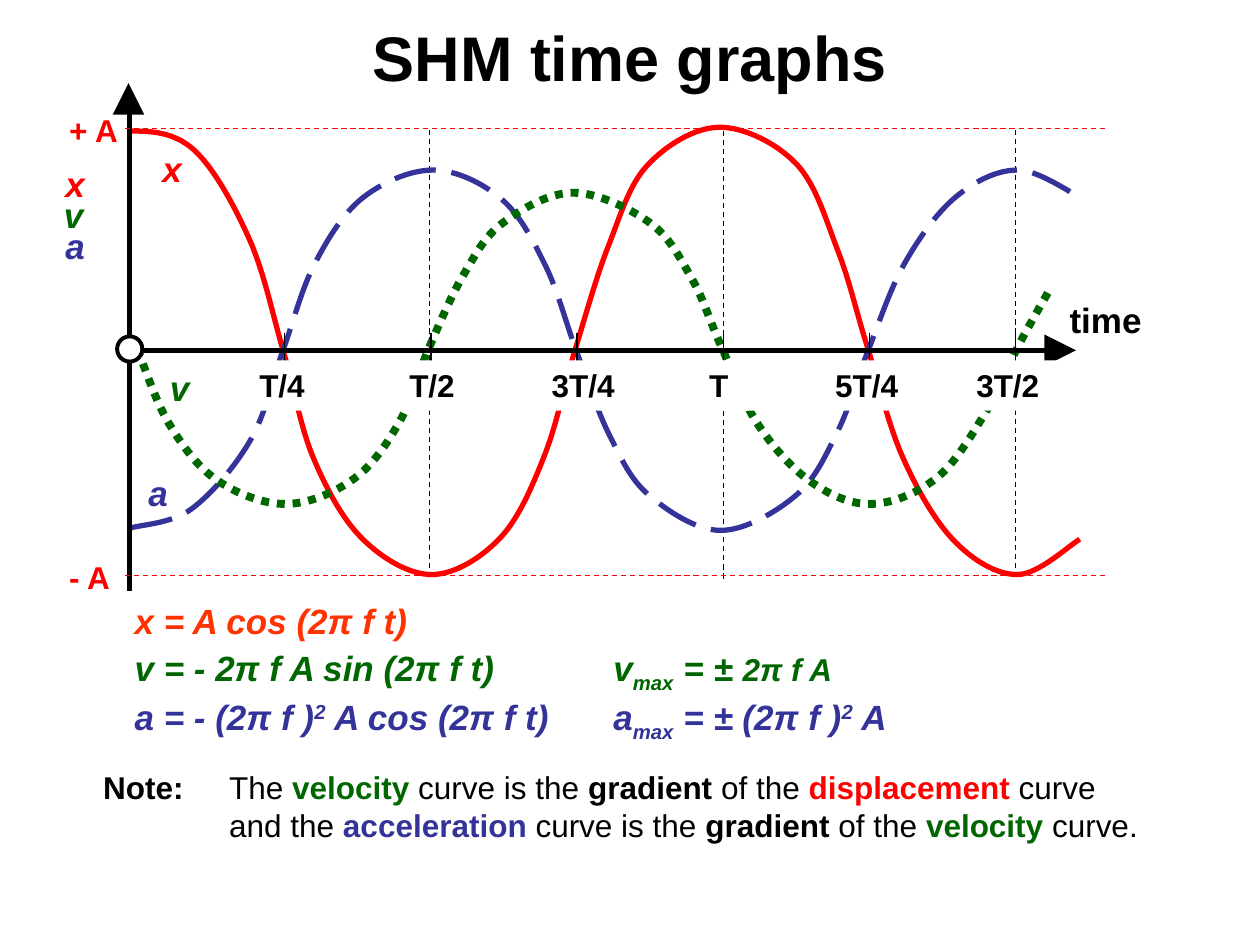
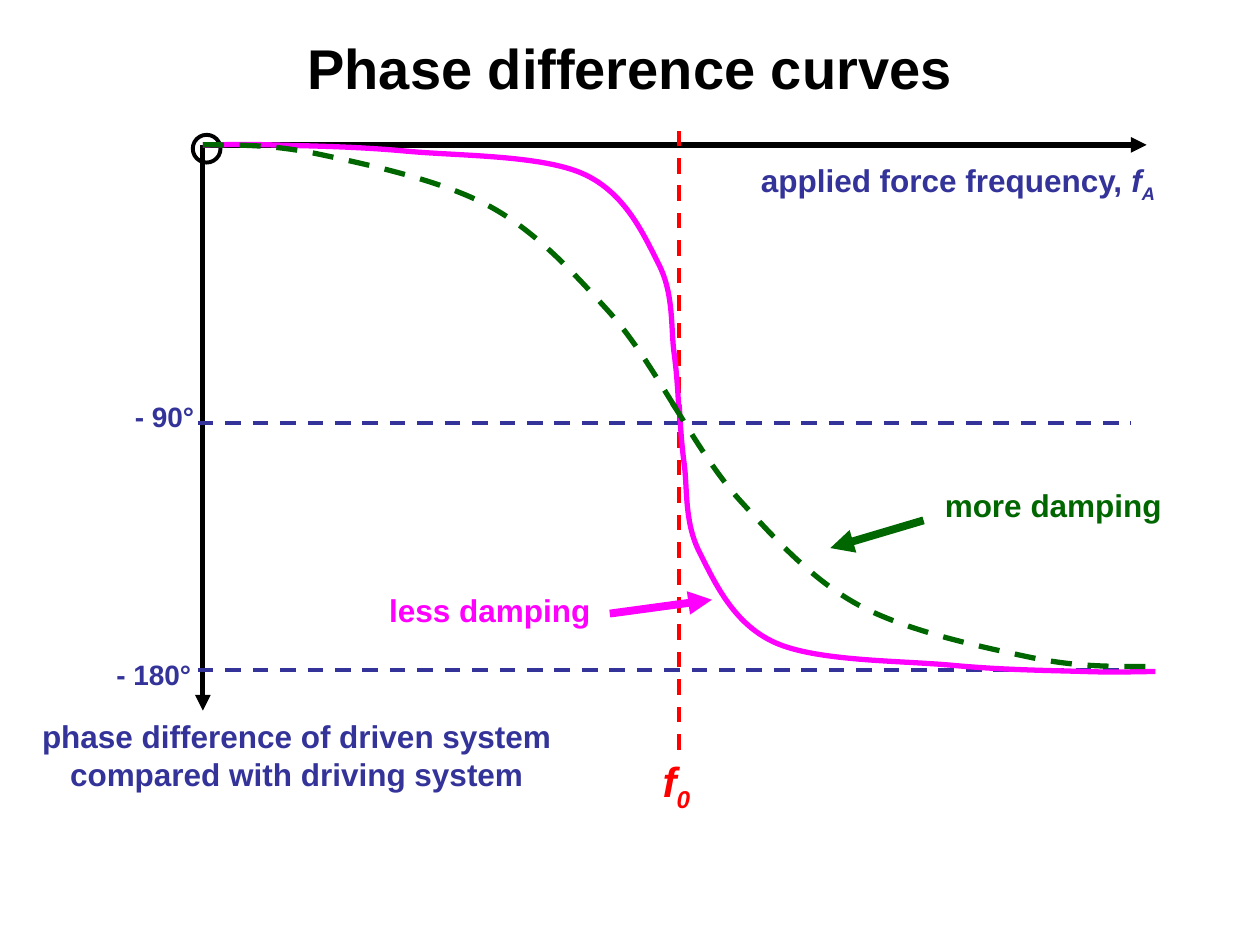
from lxml import etree
from pptx import Presentation
from pptx import util as u
from pptx.dml.color import RGBColor
from pptx.enum import dml, shapes, text
from pptx.oxml.ns import qn

BLACK, WHITE, RED, ORANGE = "000000", "FFFFFF", "FF0000", "FF3300"
BLUE, GREEN, PINK = "333399", "006600", "FF00FF"
FONT = "Arial"
DASH, LONG_DASH, DOT = dml.MSO_LINE.DASH, dml.MSO_LINE.LONG_DASH, dml.MSO_LINE.ROUND_DOT
CENTER = text.PP_ALIGN.CENTER


def write(s, box, *paras, size=18, color=BLACK, bold=True, italic=False,
          align=None, tabs=(), fill=None, sp=None):
    """Each paragraph is a string or a list of runs; a run is a string or (string, changes)."""
    left, top, width, height = map(u.Inches, box)
    fit = text.MSO_AUTO_SIZE.NONE if sp else text.MSO_AUTO_SIZE.SHAPE_TO_FIT_TEXT
    if sp is None:
        sp = s.shapes.add_textbox(left, top, width, height)
    else:
        sp.left, sp.top, sp.width, sp.height = left, top, width, height
    if fill:
        sp.fill.solid()
        sp.fill.fore_color.rgb = RGBColor.from_string(fill)
    tf = sp.text_frame
    tf.word_wrap = True
    tf.auto_size = fit
    for i, para in enumerate(paras):
        p = tf.add_paragraph() if i else tf.paragraphs[0]
        p.alignment = align
        if tabs:
            tab_list = etree.SubElement(p._p.get_or_add_pPr(), qn("a:tabLst"))
            for tab in tabs:
                etree.SubElement(tab_list, qn("a:tab"), pos=str(u.Inches(tab)), algn="l")
        for run in [para] if isinstance(para, str) else para:
            words, changes = (run, {}) if isinstance(run, str) else run
            r = p.add_run()
            r.text = words
            r.font.name = FONT
            r.font.size = u.Pt(changes.get("size", size))
            r.font.bold = changes.get("bold", bold)
            r.font.italic = changes.get("italic", italic)
            r.font.color.rgb = RGBColor.from_string(changes.get("color", color))
            if "base" in changes:
                r._r.get_or_add_rPr().set("baseline", str(changes["base"] * 1000))


def draw(s, points, color, width, dash=None, arrow=None, radius=0, fill=None, flat_start=False):
    """One point gives a circle, two a straight line, more a smooth curve through them all."""
    points = [(u.Inches(x), u.Inches(y)) for x, y in points]
    if len(points) == 1:
        x, y = points[0]
        half = u.Inches(radius)
        sp = s.shapes.add_shape(shapes.MSO_SHAPE.OVAL, x - half, y - half, 2 * half, 2 * half)
    elif len(points) == 2:
        sp = s.shapes.add_connector(shapes.MSO_CONNECTOR.STRAIGHT, *points[0], *points[1])
        etree.SubElement(sp._element.spPr, qn("a:effectLst"))
    else:
        builder = s.shapes.build_freeform(*points[0])
        builder.add_line_segments(points[1:], close=False)
        sp = builder.convert_to_shape()
        (x0, y0), (x1, y1) = points[:2]
        before = (2 * x0 - x1, y1) if flat_start else points[0]
        knots = [before, *points, points[-1]]
        segments = list(sp._element.iter(qn("a:lnTo")))
        for segment, a, b, c, d in zip(segments, knots, knots[1:], knots[2:], knots[3:]):
            bezier = etree.Element(qn("a:cubicBezTo"))
            leave = [q + (r - o) / 6 for o, q, r in zip(a, b, c)]
            arrive = [r - (z - q) / 6 for q, r, z in zip(b, c, d)]
            for x, y in (leave, arrive, c):
                etree.SubElement(bezier, qn("a:pt"), x=str(round(x - sp.left)), y=str(round(y - sp.top)))
            segment.getparent().replace(segment, bezier)
    if len(points) != 2:
        sp.shadow.inherit = False
        if fill:
            sp.fill.solid()
            sp.fill.fore_color.rgb = RGBColor.from_string(fill)
        else:
            sp.fill.background()
    sp.line.color.rgb = RGBColor.from_string(color)
    sp.line.width = u.Pt(width)
    if dash:
        sp.line.dash_style = dash
    if arrow:
        etree.SubElement(sp.line._get_or_add_ln(), qn(f"a:{arrow}End"), type="triangle")


prs = Presentation()
prs.slide_width, prs.slide_height = u.Inches(10), u.Inches(7.5)
slides = []
for title, size, top, height in (("SHM time graphs", 36, 0.19, 0.51),
                                 ("Phase difference curves", 32, 0.3, 0.46)):
    s = prs.slides.add_slide(prs.slide_layouts[5])
    write(s, (0.5, top, 9, height), title, size=size, align=CENTER, sp=s.shapes.title)
    s.shapes.title.text_frame.vertical_anchor = text.MSO_ANCHOR.MIDDLE
    slides.append(s)

# SHM time graphs
s = slides[0]
AXIS_X, AXIS_Y = 1.03, 2.78
quarters = [2.26 + 1.16 * n for n in range(6)]

for x, top in ((3.41, 1.03), (5.74, 1.04), (8.06, 1.03)):
    draw(s, [(x, top), (x, top + 3.56)], BLACK, 0.75, DASH)

displacement = [(1.03, 1.04), (1.54, 1.19), (1.98, 1.9), (2.25, 2.79), (2.49, 3.64),
                (2.88, 4.28), (3.43, 4.56), (3.97, 4.27), (4.32, 3.62), (4.57, 2.76),
                (4.83, 1.95), (5.14, 1.31), (5.71, 1.01), (6.32, 1.3), (6.65, 1.99),
                (6.88, 2.74), (7.17, 3.64), (7.58, 4.3), (8.08, 4.56), (8.57, 4.28)]
acceleration = [(1.04, 4.19), (1.52, 4.04), (1.99, 3.49), (2.25, 2.77), (2.5, 2.09),
                (2.88, 1.57), (3.44, 1.35), (3.98, 1.58), (4.33, 2.11), (4.58, 2.8),
                (4.84, 3.46), (5.15, 3.93), (5.72, 4.21), (6.32, 3.93), (6.65, 3.42),
                (6.88, 2.81), (7.18, 2.09), (7.59, 1.56), (8.08, 1.35), (8.58, 1.57)]
velocity = [(1.09, 2.77), (1.34, 3.36), (1.72, 3.81), (2.27, 4), (2.81, 3.8),
            (3.17, 3.35), (3.41, 2.75), (3.68, 2.18), (3.99, 1.77), (4.55, 1.53),
            (5.16, 1.77), (5.49, 2.21), (5.72, 2.74), (6.01, 3.36), (6.43, 3.82),
            (6.92, 4), (7.45, 3.78), (7.86, 3.21), (8.08, 2.75), (8.33, 2.3)]
draw(s, displacement, RED, 3, flat_start=True)
draw(s, acceleration, BLUE, 3, LONG_DASH)
draw(s, velocity, GREEN, 4.5, DOT)

for start, end, width in (((1.02, AXIS_Y), (8.49, AXIS_Y), 3),
                          ((8.3, AXIS_Y), (8.54, AXIS_Y), 6),
                          ((AXIS_X, 4.69), (AXIS_X, 0.76), 3),
                          ((1.02, 0.9), (1.02, 0.66), 6)):
    draw(s, [start, end], BLACK, width, arrow="tail")
draw(s, [(AXIS_X, 2.77)], BLACK, 2.25, radius=0.1, fill=WHITE)
for x in quarters:
    draw(s, [(x, AXIS_Y - 0.14), (x, AXIS_Y + 0.14)], BLACK, 0.75)
write(s, (1.96, 2.86, 6.77, 0.4), "T/4\tT/2\t3T/4\tT\t5T/4\t3T/2",
      tabs=(1.19, 2.32, 3.57, 4.57, 5.69), fill=WHITE)

for label, y in (("+ A", 1.02), ("- A", 4.57)):
    draw(s, [(0.99, y), (8.79, y)], RED, 0.75, DASH)
    write(s, (0.45, y - 0.19, 0.78, 0.4), label, color=RED)

for symbol, color, x, y in (("x", RED, 0.42, 1.24), ("v", GREEN, 0.41, 1.49),
                            ("a", BLUE, 0.42, 1.73), ("x", RED, 1.19, 1.12),
                            ("v", GREEN, 1.25, 2.86), ("a", BLUE, 1.08, 3.69)):
    write(s, (x, y, 0.36, 0.44), symbol, size=20, color=color, italic=True)
write(s, (8.39, 2.32, 1.09, 0.44), "time", size=20)

squared, maximum = ("2", {"base": 30}), ("max", {"base": -25})
for box, color, formula in (
        ((0.97, 4.71, 2.61, 0.44), ORANGE, ["x = A cos (2π f t)"]),
        ((0.97, 5.08, 3.66, 0.44), GREEN, ["v = - 2π f A sin (2π f t)"]),
        ((0.97, 5.47, 3.66, 0.44), BLUE, ["a = - (2π f )", squared, " A cos (2π f t)"]),
        ((4.77, 5.08, 2.2, 0.48), GREEN, ["v", maximum, " = ± ", ("2π f A", {"size": 18})]),
        ((4.77, 5.47, 2.66, 0.48), BLUE, ["a", maximum, " = ± (2π f )", squared, " A"])):
    write(s, box, formula, size=20, color=color, italic=True)

strong = {"bold": True}
green, blue, red = ({"bold": True, "color": c} for c in (GREEN, BLUE, RED))
gradient = [" curve is the ", ("gradient", strong), " of the "]
write(s, (0.72, 6.05, 8.52, 0.7),
      [("Note:\t", strong), "The ", ("velocity", green), *gradient,
       ("displacement", red), " curve"],
      ["\tand the ", ("acceleration", blue), *gradient, ("velocity ", green), "curve."],
      bold=False, tabs=(1,))

# Phase difference curves
s = slides[1]
origin = (1.61, 1.15)
draw(s, [(1.61, 5.64), origin], BLACK, 3, arrow="head")
draw(s, [origin, (9.1, 1.15)], BLACK, 3, arrow="tail")
draw(s, [(1.64, 1.18)], BLACK, 2.25, radius=0.11)
write(s, (5.94, 1.23, 3.72, 0.44),
      ["applied force frequency, ", ("f", {"italic": True}), ("A", {"italic": True, "base": -25})],
      color=BLUE)
write(s, (0.2, 5.64, 4.31, 0.7),
      "phase difference of driven system compared with driving system", color=BLUE, align=CENTER)

draw(s, [(5.39, 5.95), (5.39, 0.99)], RED, 2.25, DASH)
write(s, (5.16, 5.95, 0.55, 0.56), ["f", ("0", {"base": -25})], size=24, color=RED, italic=True)

for label, color, box, pointer in (
        ("more damping", GREEN, (7.4, 3.81, 2.12, 0.4), [(7.33, 4.13), (6.59, 4.35)]),
        ("less damping", PINK, (2.99, 4.64, 1.96, 0.4), [(4.84, 4.87), (5.65, 4.76)])):
    write(s, box, label, color=color)
    draw(s, pointer, color, 4.5, arrow="tail")

for label, y, box in (("- 90°", 3.36, (0.91, 3.12, 0.79, 0.37)),
                      ("- 180°", 5.32, (0.75, 5.17, 0.94, 0.37))):
    draw(s, [(1.57, y), (8.98, y)], BLUE, 2.25, DASH)
    write(s, box, label, size=16, color=BLUE, align=CENTER)

# Each curve is a half and the same half turned about its centre
less_damping = [origin, (2.16, 1.15), (3.23, 1.2), (4.63, 1.38), (5.23, 2.1), (5.35, 2.8), (5.39, 3.27)]
more_damping = [origin, (2.56, 1.23), (3.89, 1.64), (4.82, 2.46), (5.39, 3.28)]
for half, (cx, cy), color, dash in ((less_damping, (5.39, 3.24), PINK, None),
                                    (more_damping, (5.35, 3.22), GREEN, DASH)):
    turned = [(2 * cx - x, 2 * cy - y) for x, y in half]
    for points in (half, turned):
        draw(s, points, color, 3, dash, flat_start=True)

prs.save("out.pptx")
